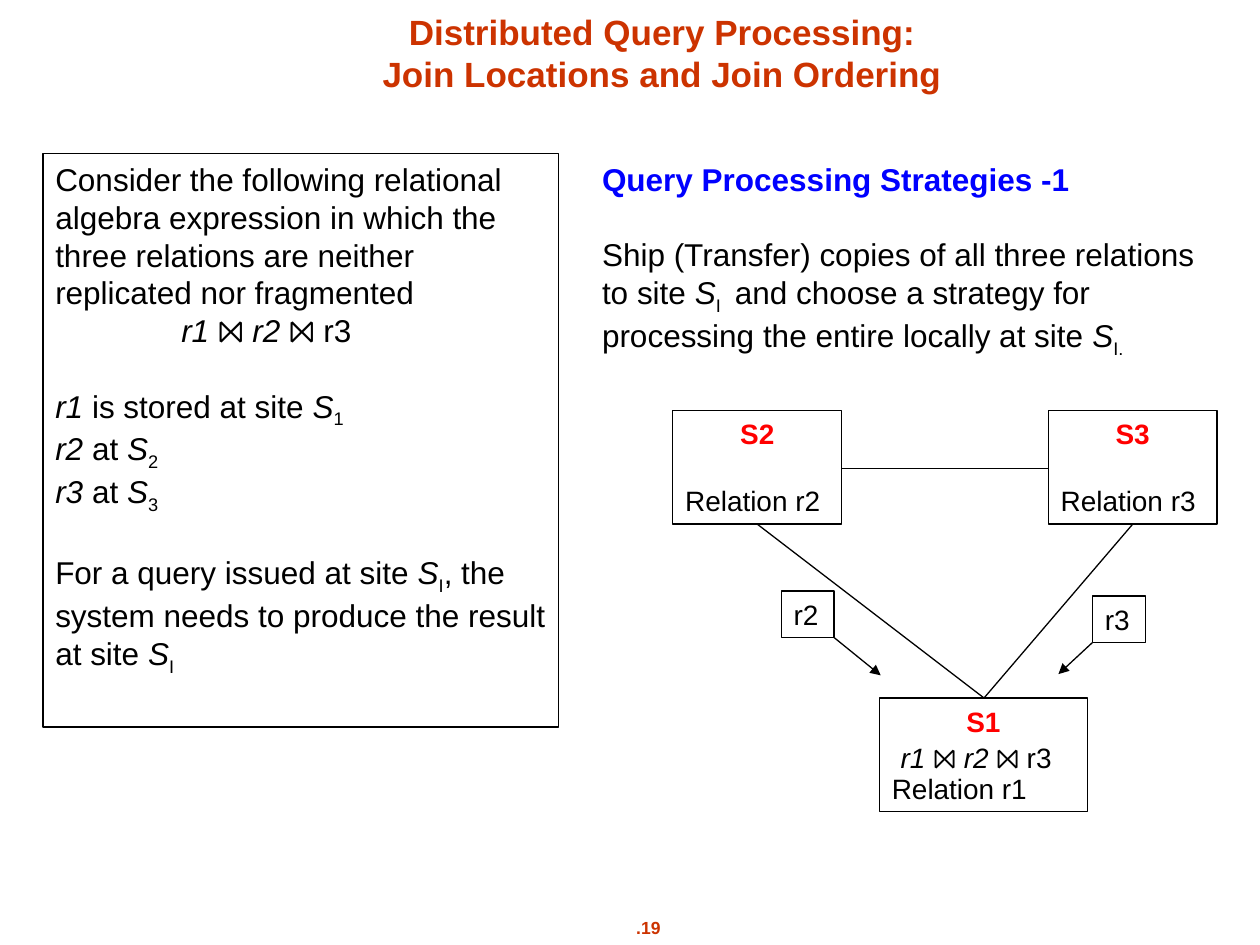
from lxml import etree
from pptx import Presentation
from pptx.dml.color import RGBColor
from pptx.enum.shapes import MSO_CONNECTOR as Connector, MSO_SHAPE as Shape
from pptx.enum.text import MSO_ANCHOR as Anchor, MSO_AUTO_SIZE as AutoSize, PP_ALIGN as Align
from pptx.oxml.ns import qn
from pptx.util import Inches, Pt

BLACK, RED, BLUE, RUST = "000000", "FF0000", "0000FF", "CC3300"
JOIN = [("r1 ", "italic"), ("⨝ ", ""), ("r2 ", "italic"), ("⨝ r3", "")]


def rgb(value):
    return RGBColor.from_string(value)


def write(paragraph, runs, size, color=BLACK, bold=False, align=Align.LEFT, before=0, indent=0):
    """Fill a paragraph from a string or a list of (text, style) pairs."""
    if isinstance(runs, str):
        runs = [(runs, "")]
    properties = paragraph._p.get_or_add_pPr()
    if indent:
        properties.set("marL", str(Inches(indent)))
    paragraph.alignment = align
    if before:
        paragraph.space_before = Pt(before)
    font = paragraph.font
    font.name, font.size, font.bold = "Arial", Pt(size), bold
    font.color.rgb = rgb(color)
    for text, style in runs:
        run = paragraph.add_run()
        run.text = text
        if style == "italic":
            run.font.italic = True
        elif style == "sub":
            run._r.get_or_add_rPr().set("baseline", "-25000")


def fill_text(shape, paragraphs):
    """Write (runs, size, options) entries from the top of a shape."""
    frame = shape.text_frame
    frame.word_wrap = True
    frame.vertical_anchor = Anchor.TOP
    for number, (runs, size, options) in enumerate(paragraphs):
        paragraph = frame.add_paragraph() if number else frame.paragraphs[0]
        write(paragraph, runs, size, **options)


def add_text(shapes, box, paragraphs):
    text_box = shapes.add_textbox(*map(Inches, box))
    fill_text(text_box, paragraphs)
    return text_box


def add_frame(shapes, box, paragraphs):
    frame = shapes.add_shape(Shape.RECTANGLE, *map(Inches, box))
    frame.shadow.inherit = False
    frame.fill.background()
    frame.line.color.rgb = rgb(BLACK)
    frame.line.width = Pt(0.75)
    fill_text(frame, paragraphs)


def add_line(shapes, start, end, arrow=False):
    line = shapes.add_connector(Connector.STRAIGHT, *map(Inches, (*start, *end)))
    line.line.color.rgb = rgb(BLACK)
    line.line.width = Pt(0.75)
    if arrow:
        etree.SubElement(line.line._get_or_add_ln(), qn("a:tailEnd"), type="triangle")
    etree.SubElement(line._element.spPr, qn("a:effectLst"))


def add_title(slide, box):
    title = slide.shapes.title
    title.left, title.top, title.width, title.height = map(Inches, box)
    frame = title.text_frame
    frame.auto_size = AutoSize.NONE
    frame.vertical_anchor = Anchor.BOTTOM
    paragraph = frame.paragraphs[0]
    write(paragraph, [], 20, RUST, bold=True, align=Align.CENTER)
    paragraph.text = "Distributed Query Processing:\vJoin Locations and Join Ordering"


def add_problem(slide, box):
    def stored(relation, words, site, before=0):
        runs = [(relation, "italic"), (words, ""), ("S", "italic"), (site, "sub")]
        return runs, 18, {"before": before}

    query = [("For a query issued at site ", ""), ("S", "italic"), ("I", "sub"),
             (", the system needs to produce the result at site ", ""),
             ("S", "italic"), ("I", "sub")]
    add_frame(slide.shapes, box, [
        ("Consider the following relational algebra expression in which the "
         "three relations are neither replicated nor fragmented", 18, {}),
        (JOIN, 18, {"indent": 1}),
        stored("r1 ", "is stored at site ", "1", before=21.5),
        stored("r2 ", "at ", "2"),
        stored("r3 ", "at ", "3"),
        (query, 18, {"before": 21.5}),
    ])


def add_strategy(slide, box):
    strategy = [("Ship (Transfer) copies of all three relations to site ", ""),
                ("S", "italic"), ("I ", "sub"),
                (" and choose a strategy for processing the entire locally at site ", ""),
                ("S", "italic"), ("I.", "sub")]
    add_text(slide.shapes, box, [
        ("Query Processing Strategies -1", 18, {"color": BLUE, "bold": True}),
        (strategy, 18, {"before": 21.5}),
    ])


def add_site(slide, box, number):
    add_frame(slide.shapes, box, [
        (f"S{number}", 16, {"color": RED, "bold": True, "align": Align.CENTER}),
        (f"Relation r{number}", 16, {"before": 19}),
    ])


def add_shipment(slide, box, relation, start, end):
    group = slide.shapes.add_group_shape()
    add_frame(group.shapes, box, [(relation, 16, {})])
    add_line(group.shapes, start, end, arrow=True)


def add_network(slide, left, top):
    width, height, pitch = 1.34, 0.9, 2.98
    hub_left, hub_top, hub_width = left + 1.64, top + 2.28, 1.65
    hub = (left + 2.47, hub_top)

    # Sites
    add_site(slide, (left, top, width, height), 2)
    add_site(slide, (hub_left, hub_top, hub_width, height), 1)
    add_site(slide, (left + pitch, top, width, height), 3)

    # Links between sites
    add_line(slide.shapes, (left + width, top + 0.46), (left + pitch, top + 0.46))
    for site_left in (left, left + pitch):
        add_line(slide.shapes, (site_left + width / 2, top + height), hub)

    # Shipped relations
    add_shipment(slide, (6.2, 4.69, 0.42, 0.37), "r2", (6.62, 5.06), (6.99, 5.36))
    add_shipment(slide, (8.67, 4.73, 0.42, 0.37), "r3", (8.67, 5.1), (8.4, 5.35))

    # Join at the hub
    add_text(slide.shapes, (hub_left + 0.07, hub_top + 0.29, 1.62, 0.37), [(JOIN, 16, {})])


def add_page_number(slide, box):
    number = add_text(slide.shapes, box, [
        (".19", 10, {"color": RUST, "bold": True, "align": Align.CENTER})])
    number.text_frame.word_wrap = False


def main():
    presentation = Presentation()
    presentation.slide_width, presentation.slide_height = Inches(10), Inches(7.5)
    slide = presentation.slides.add_slide(presentation.slide_layouts[5])
    add_page_number(slide, (4.69, 7.23, 0.91, 0.27))
    add_title(slide, (0.84, 0.13, 8.83, 0.67))
    add_problem(slide, (0.34, 1.22, 4.09, 4.55))
    add_strategy(slide, (4.68, 1.22, 5.14, 2.03))
    add_network(slide, 5.34, 3.26)
    presentation.save("out.pptx")


if __name__ == "__main__":
    main()
